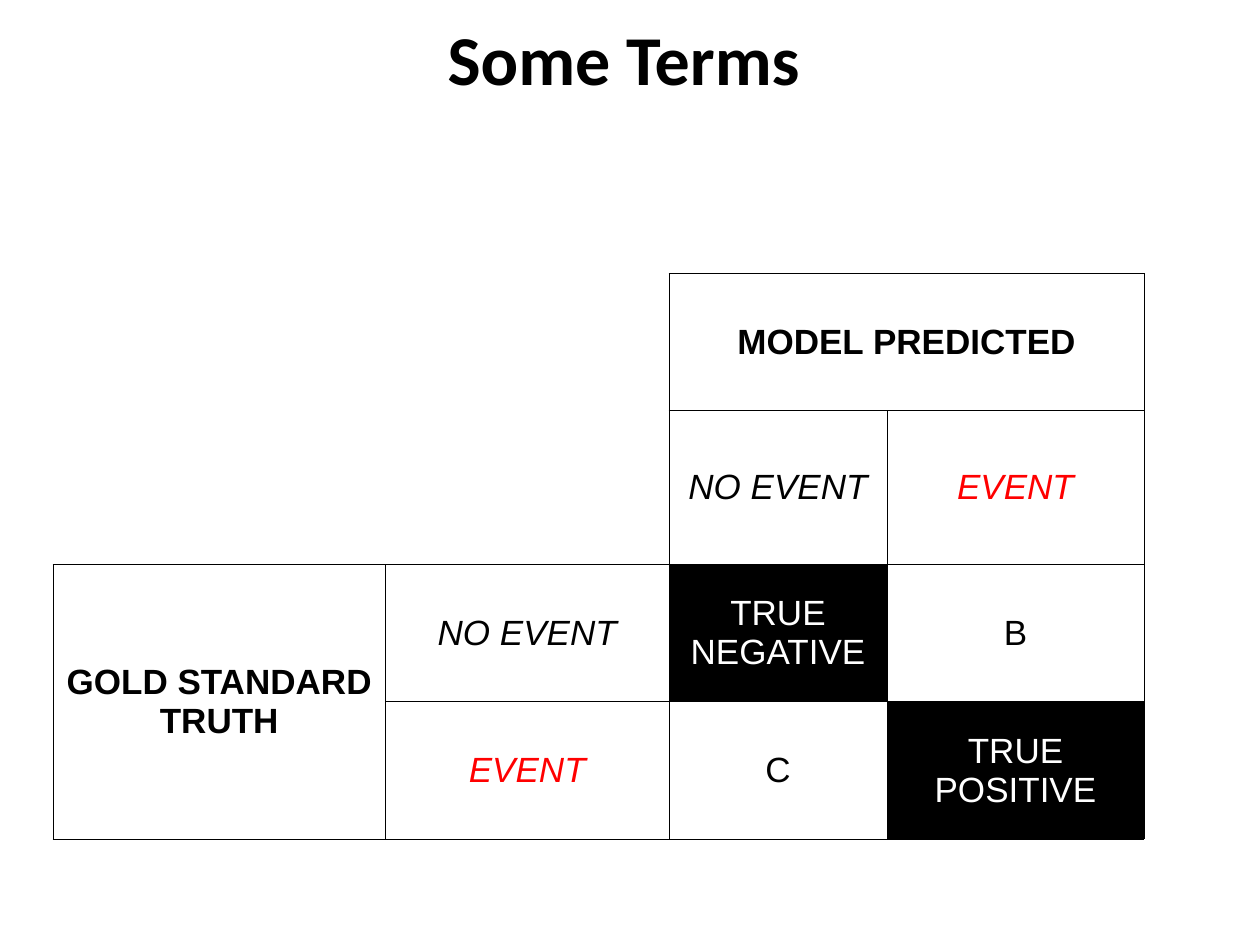
from pptx import Presentation
from pptx.dml.color import RGBColor
from pptx.enum.text import MSO_ANCHOR, PP_ALIGN
from pptx.oxml import parse_xml
from pptx.oxml.ns import nsdecls
from pptx.util import Inches, Pt

BLACK, WHITE, RED = "000000", "FFFFFF", "FF0000"


def style(p, font, size, color, bold=False, italic=False):
    p.alignment = PP_ALIGN.CENTER
    f = p.font
    f.name, f.size, f.bold, f.italic = font, Pt(size), bold, italic
    f.color.rgb = RGBColor.from_string(color)


def set_borders(cell, sides):
    """Draw thin black lines on the given sides (of "LRTB") and none elsewhere."""
    tcPr = cell._tc.get_or_add_tcPr()
    for side in "LRTB":
        paint = (f'<a:solidFill><a:srgbClr val="{BLACK}"/></a:solidFill>'
                 if side in sides else "<a:noFill/>")
        tcPr.append(parse_xml(
            f'<a:ln{side} {nsdecls("a")} w="{Pt(0.45)}">{paint}</a:ln{side}>'))


prs = Presentation()
prs.slide_width, prs.slide_height = Inches(10), Inches(7.5)
s = prs.slides.add_slide(prs.slide_layouts[5])

title = s.shapes.title
title.left, title.top = Inches(0.42), Inches(0.17)
title.width, title.height = Inches(9.06), Inches(0.58)
tf = title.text_frame
tf.text = "Some Terms"
tf.vertical_anchor = MSO_ANCHOR.MIDDLE
style(tf.paragraphs[0], "Calibri", 40, BLACK, bold=True)

col_widths = [2.64, 2.25, 1.73, 2.04]
row_heights = [1.09, 1.22, 1.09, 1.09]
table = s.shapes.add_table(4, 4, Inches(0.42), Inches(2.17),
                           Inches(sum(col_widths)), Inches(sum(row_heights))).table
table.first_row = table.horz_banding = False
for col, width in zip(table.columns, col_widths):
    col.width = Inches(width)
for row, height in zip(table.rows, row_heights):
    row.height = Inches(height)

# The empty corner has lines only where it meets the rest of the table
for r in range(4):
    for c in range(4):
        cell = table.cell(r, c)
        if r < 2 and c < 2:
            sides = "RB" if r == c else "R" if c == 1 else "B"
        else:
            sides = "LRTB"
        set_borders(cell, sides)
        cell.fill.background()

for first, last in [((0, 0), (1, 1)), ((0, 2), (0, 3)), ((2, 0), (3, 0))]:
    table.cell(*first).merge(table.cell(*last))

header = dict(color=BLACK, bold=True)
no_event = dict(color=BLACK, italic=True)
event = dict(color=RED, italic=True)
correct = dict(color=WHITE)
error = dict(color=BLACK)
cells = [
    (0, 2, "MODEL PREDICTED", header),
    (1, 2, "NO EVENT", no_event),
    (1, 3, "EVENT", event),
    (2, 0, "GOLD STANDARD\nTRUTH", header),
    (2, 1, "NO EVENT", no_event),
    (2, 2, "TRUE NEGATIVE", correct),
    (2, 3, "B", error),
    (3, 1, "EVENT", event),
    (3, 2, "C", error),
    (3, 3, "TRUE POSITIVE", correct),
]
for r, c, text, look in cells:
    cell = table.cell(r, c)
    cell.text = text
    cell.vertical_anchor = MSO_ANCHOR.MIDDLE
    for p in cell.text_frame.paragraphs:
        style(p, "Arial", 20, **look)
    if look is correct:
        cell.fill.solid()
        cell.fill.fore_color.rgb = RGBColor.from_string(BLACK)

prs.save("out.pptx")
